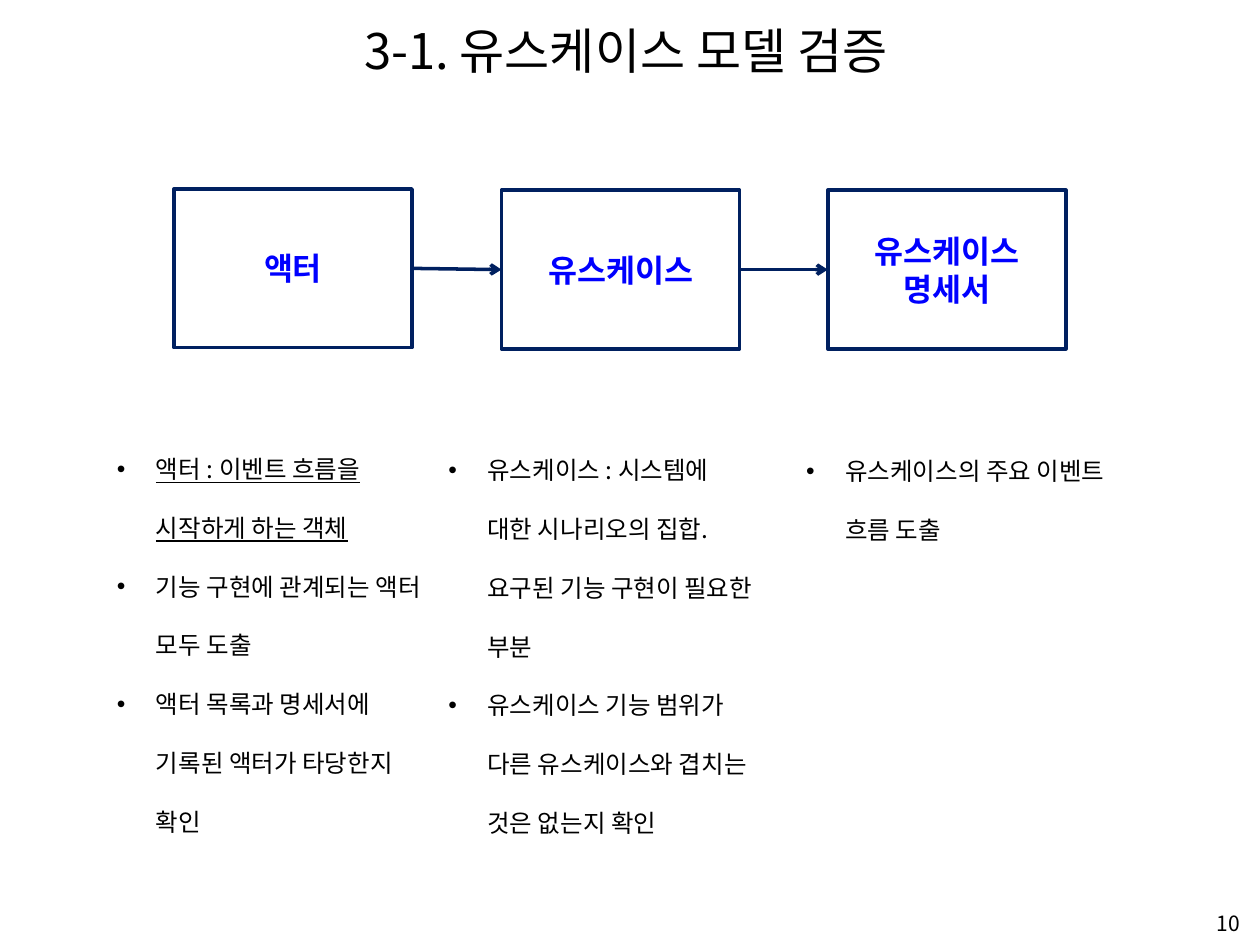
"""Builds the use case model verification slide."""
from lxml import etree
from pptx import Presentation
from pptx.dml.color import RGBColor
from pptx.enum.shapes import MSO_CONNECTOR, MSO_SHAPE
from pptx.enum.text import MSO_ANCHOR, MSO_AUTO_SIZE, PP_ALIGN
from pptx.oxml.ns import qn
from pptx.util import Inches, Pt

LEFT, CENTER, RIGHT = PP_ALIGN.LEFT, PP_ALIGN.CENTER, PP_ALIGN.RIGHT
TOP, MIDDLE = MSO_ANCHOR.TOP, MSO_ANCHOR.MIDDLE
NO_FIT = MSO_AUTO_SIZE.NONE
RECTANGLE, STRAIGHT = MSO_SHAPE.RECTANGLE, MSO_CONNECTOR.STRAIGHT
TITLE_ONLY = 5
LEFT_SIDE, RIGHT_SIDE = 1, 3

FONT = "Noto Sans CJK KR"
BLACK, NAVY, BLUE = "000000", "002060", "0000FF"

TITLE = "3-1. 유스케이스 모델 검증"
PAGE_NUMBER = "10"
STEPS = [
    (1.38, 1.5, ["액터"]),
    (3.98, 1.51, ["유스케이스"]),
    (6.57, 1.51, ["유스케이스", "명세서"]),
]
STEP_SIZE = (1.89, 1.26)
UNDERLINED = "액터 : 이벤트 흐름을 시작하게 하는 객체"
NOTES = [
    (0.83, 3.32, 3.4, [
        UNDERLINED,
        "기능 구현에 관계되는 액터 모두 도출",
        "액터 목록과 명세서에 기록된 액터가 타당한지 확인",
    ]),
    (3.46, 3.33, 3.4, [
        "유스케이스 : 시스템에 대한 시나리오의 집합. 요구된 기능 구현이 필요한 부분",
        "유스케이스 기능 범위가 다른 유스케이스와 겹치는 것은 없는지 확인",
    ]),
    (6.3, 3.34, 1.04, ["유스케이스의 주요 이벤트 흐름 도출"]),
]
NOTE_WIDTH = 2.64
BULLET_INDENT = 0.31


def color(value):
    return RGBColor.from_string(value)


def add_bullet(para):
    properties = para._p.get_or_add_pPr()
    properties.set("marL", str(Inches(BULLET_INDENT)))
    properties.set("indent", str(-Inches(BULLET_INDENT)))
    etree.SubElement(properties, qn("a:buFont"), typeface="Arial")
    etree.SubElement(properties, qn("a:buChar"), char="•")
    para.line_spacing = 2.0


def write(shape, lines, size=14, ink=BLACK, bold=False, align=LEFT,
          anchor=TOP, bullets=False):
    frame = shape.text_frame
    frame.word_wrap = True
    frame.auto_size = NO_FIT
    frame.vertical_anchor = anchor
    for index, line in enumerate(lines):
        para = frame.add_paragraph() if index else frame.paragraphs[0]
        para.alignment = align
        if bullets:
            add_bullet(para)
        span = para.add_run()
        span.text = line
        span.font.name = FONT
        span.font.size = Pt(size)
        span.font.bold = bold
        span.font.underline = line == UNDERLINED
        span.font.color.rgb = color(ink)
        etree.SubElement(span._r.get_or_add_rPr(), qn("a:ea"), typeface=FONT)


def add_text(page, place, lines, **style):
    box = page.shapes.add_textbox(*map(Inches, place))
    write(box, lines, **style)


def add_step(page, left, top, lines):
    box = page.shapes.add_shape(
        RECTANGLE, *map(Inches, (left, top, *STEP_SIZE)))
    box.shadow.inherit = False
    box.fill.background()
    box.line.color.rgb = color(NAVY)
    box.line.width = Pt(2)
    write(box, lines, size=18, ink=BLUE, bold=True, align=CENTER,
          anchor=MIDDLE)
    return box


def add_arrow(page, start, end):
    arrow = page.shapes.add_connector(STRAIGHT, 0, 0, 0, 0)
    arrow.begin_connect(start, RIGHT_SIDE)
    arrow.end_connect(end, LEFT_SIDE)
    arrow.line.color.rgb = color(NAVY)
    arrow.line.width = Pt(2)
    etree.SubElement(arrow.line._get_or_add_ln(), qn("a:tailEnd"), type="arrow")
    etree.SubElement(arrow._element.spPr, qn("a:effectLst"))


def main():
    deck = Presentation()
    deck.slide_width, deck.slide_height = Inches(10), Inches(7.5)
    page = deck.slides.add_slide(deck.slide_layouts[TITLE_ONLY])

    title = page.shapes.title
    title.left, title.top = Inches(0.12), Inches(0.05)
    title.width, title.height = Inches(9.69), Inches(0.69)
    write(title, [TITLE], size=28, align=CENTER, anchor=MIDDLE)
    add_text(page, (7.61, 7.2, 2.33, 0.25), [PAGE_NUMBER], size=12,
             align=RIGHT, anchor=MIDDLE)

    boxes = [add_step(page, *step) for step in STEPS]
    for start, end in zip(boxes, boxes[1:]):
        add_arrow(page, start, end)
    for left, top, height, lines in NOTES:
        add_text(page, (left, top, NOTE_WIDTH, height), lines, bullets=True)

    deck.save("out.pptx")


if __name__ == "__main__":
    main()
